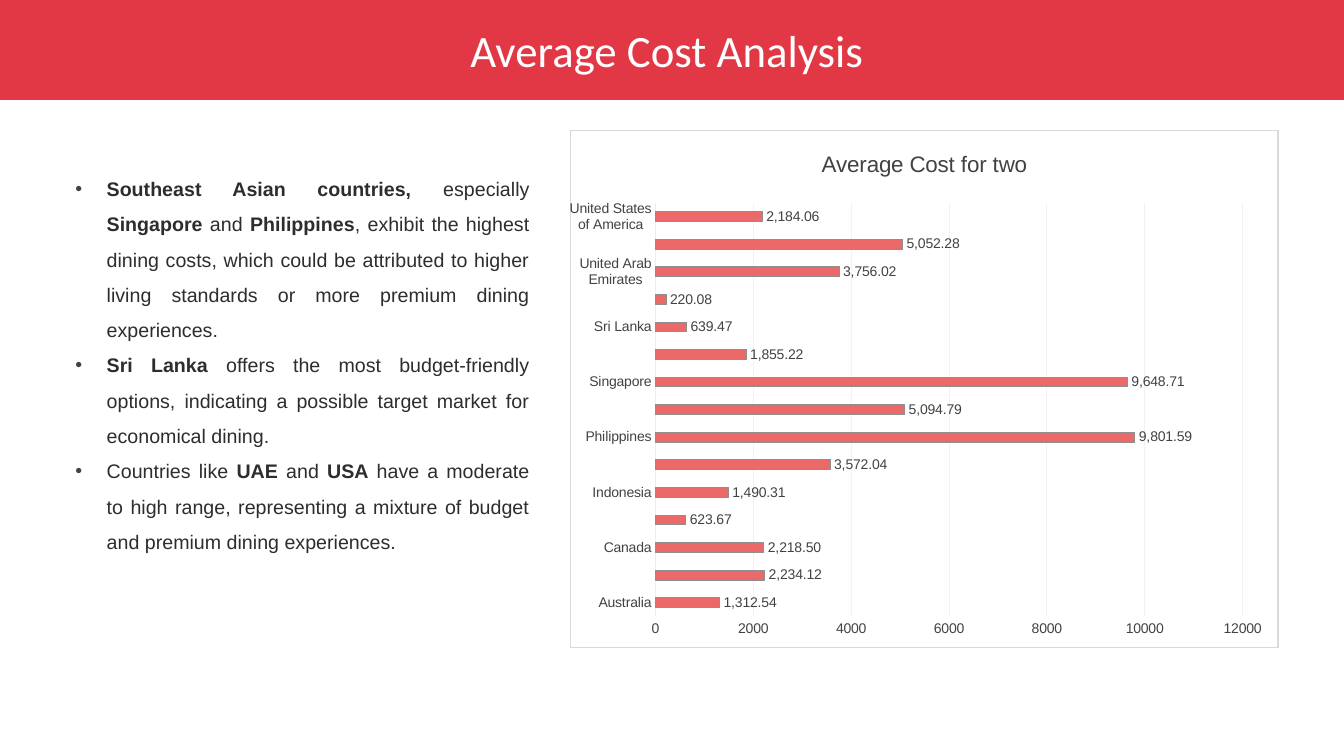
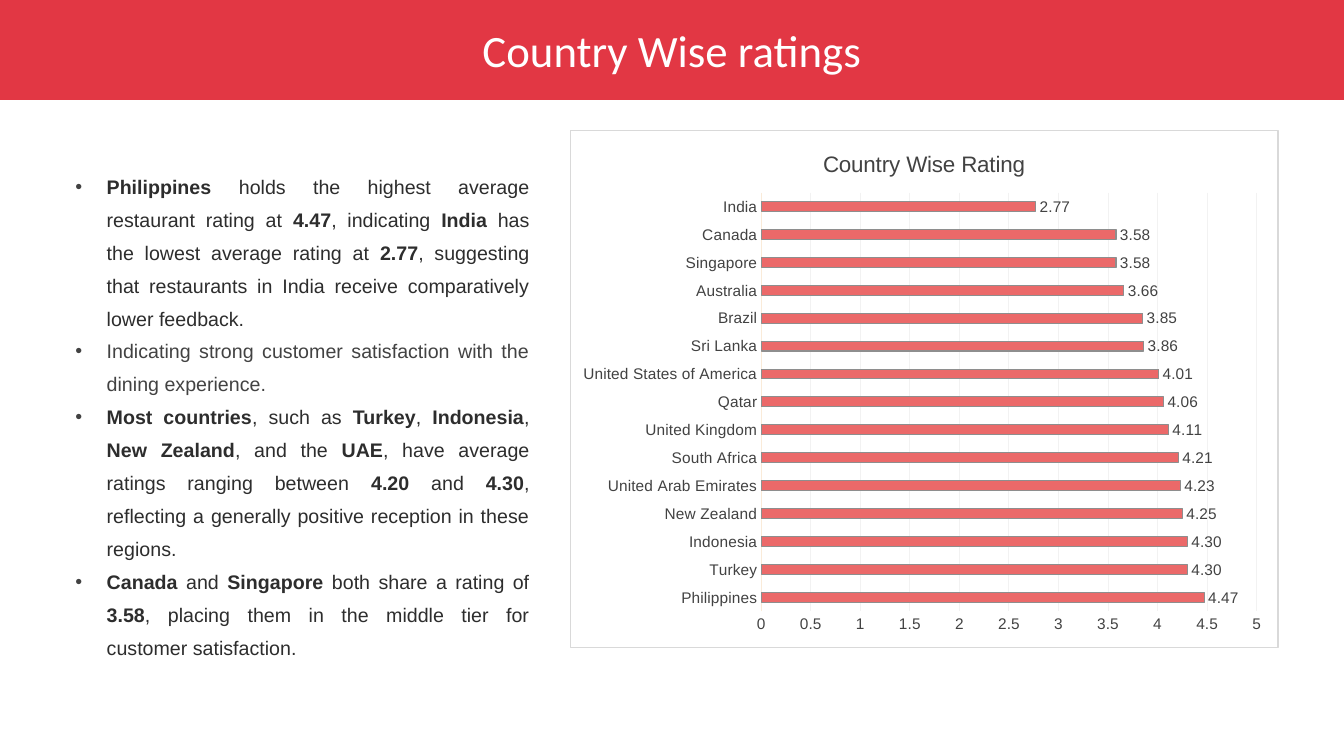
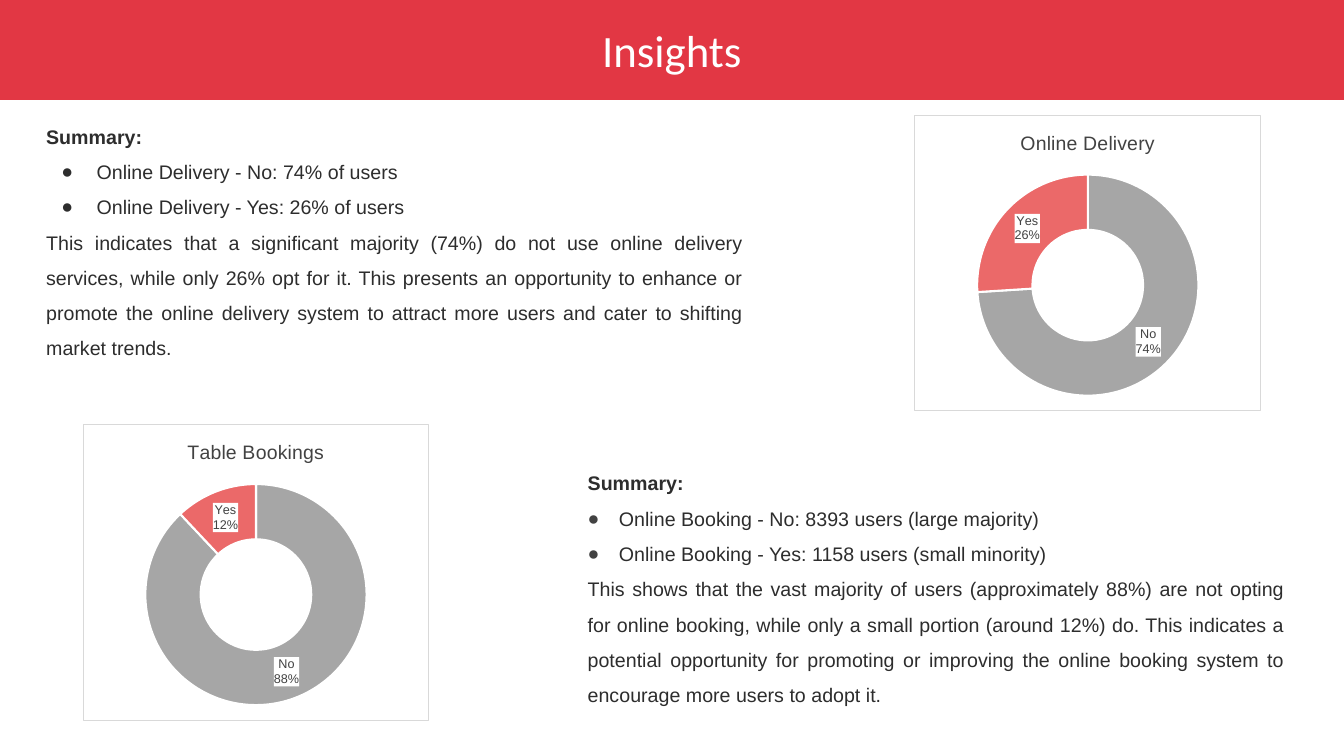
"""Builds three slides of restaurant cost, rating and service insights."""
from pptx import Presentation
from pptx.chart.data import CategoryChartData
from pptx.dml.color import RGBColor
from pptx.enum.chart import XL_CHART_TYPE, XL_LABEL_POSITION, XL_TICK_MARK
from pptx.enum.shapes import MSO_SHAPE
from pptx.enum.text import MSO_ANCHOR, PP_ALIGN
from pptx.oxml import parse_xml
from pptx.oxml.ns import nsdecls, qn
from pptx.util import Inches, Pt

BAR, DOUGHNUT = XL_CHART_TYPE.BAR_CLUSTERED, XL_CHART_TYPE.DOUGHNUT
OUTSIDE = XL_LABEL_POSITION.OUTSIDE_END
NO_TICK = XL_TICK_MARK.NONE
RECT = MSO_SHAPE.RECTANGLE
MIDDLE = MSO_ANCHOR.MIDDLE
CENTER, JUSTIFY = PP_ALIGN.CENTER, PP_ALIGN.JUSTIFY

RED, ROSE, GRAY, WHITE = "E23744", "EB6969", "A6A6A6", "FFFFFF"
INK, SOFT = "2D2D2D", "424242"
OUTLINE, GRID, AXIS, EDGE = "D9D9D9", "F2F2F2", "FAEBD9", "8E8E8E"

BODY = (4.88, 21.2, 35.26, 68.53)
BAR_AREA = (42.39, 17.2, 52.74, 68.53)
NOTE_SIZE = (53.34, 38)
DONUT_SIZE = (25.8, 39.2)
DONUT_PLOT = (0.18, 0.2, 0.64, 0.75)


def rgb(value):
    """Return the colour of a hex string."""
    return RGBColor.from_string(value)


def style(font, size=14, color=INK, bold=False, name="Arial"):
    """Apply one text format to a font."""
    font.size, font.bold, font.name = Pt(size), bold, name
    font.color.rgb = rgb(color)


def add_text(p, text, **fmt):
    """Add text to a paragraph, with **marked** parts in bold."""
    for i, part in enumerate(text.split("**")):
        if part:
            r = p.add_run()
            r.text = part
            style(r.font, **{"bold": i % 2 == 1, **fmt})


def set_bullet(p, char, color, left, hang):
    """Give a paragraph a coloured bullet with a hanging indent."""
    pPr = p._p.get_or_add_pPr()
    pPr.set("marL", str(Inches(left)))
    pPr.set("indent", str(-Inches(hang)))
    ns = nsdecls("a")
    for xml in (f'<a:buClr {ns}><a:srgbClr val="{color}"/></a:buClr>',
                f'<a:buFont {ns} typeface="Arial"/>',
                f'<a:buChar {ns} char="{char}"/>'):
        pPr.append(parse_xml(xml))


class Deck:
    """Holds the shared style and the current slide."""

    def __init__(self):
        """Start a widescreen presentation."""
        self.prs = Presentation()
        self.prs.slide_width, self.prs.slide_height = Inches(13.33), Inches(7.5)
        self.s = None

    def box(self, left, top, width, height):
        """Turn percentages of the slide into lengths."""
        w, h = self.prs.slide_width / 100, self.prs.slide_height / 100
        return int(left * w), int(top * h), int(width * w), int(height * h)

    def slide(self, title):
        """Add a blank slide with the title band."""
        self.s = self.prs.slides.add_slide(self.prs.slide_layouts[6])
        sp = self.s.shapes.add_shape(RECT, *self.box(0, 0, 100, 13.2))
        sp.shadow.inherit = False
        sp.fill.solid()
        sp.fill.fore_color.rgb = rgb(RED)
        sp.line.fill.background()
        tf = sp.text_frame
        tf.vertical_anchor = MIDDLE
        p = tf.paragraphs[0]
        p.alignment = CENTER
        add_text(p, title, size=32, color=WHITE, name="Calibri")

    def text(self, at, lines, spacing=1.5, bullet=(SOFT, 0.31, 0.31), soft=()):
        """Add justified paragraphs, bulleted where they start with a bullet."""
        tf = self.s.shapes.add_textbox(*self.box(*at)).text_frame
        tf.word_wrap = True
        for i, line in enumerate(lines):
            p = tf.add_paragraph() if i else tf.paragraphs[0]
            p.alignment, p.line_spacing = JUSTIFY, spacing
            if line[0] in "•●":
                set_bullet(p, line[0], *bullet)
                line = line[2:]
            add_text(p, line, color=SOFT if i in soft else INK)

    def chart(self, kind, at, title, points, plot_at, title_size):
        """Add a framed one-series chart with a title and a placed plot."""
        data = CategoryChartData()
        data.categories = [name for name, _ in points]
        data.add_series("Series 1", [value for _, value in points])
        chart = self.s.shapes.add_chart(kind, *self.box(*at), data).chart
        style(chart.font, size=10, color=SOFT)
        chart.has_legend = False
        chart.has_title = True
        add_text(chart.chart_title.text_frame.paragraphs[0], title,
                 size=title_size, color=SOFT)
        chart.element.find(qn("c:chart")).addnext(parse_xml(
            f'<c:spPr {nsdecls("c", "a")}><a:solidFill><a:srgbClr val="{WHITE}"/>'
            f'</a:solidFill><a:ln w="{Pt(0.75)}"><a:solidFill>'
            f'<a:srgbClr val="{OUTLINE}"/></a:solidFill></a:ln></c:spPr>'))
        area = chart.element.find(".//" + qn("c:plotArea"))
        for layout in area.findall(qn("c:layout")):
            area.remove(layout)
        sides = "".join(f'<c:{tag} val="{value}"/>'
                        for tag, value in zip("xywh", plot_at))
        area.insert(0, parse_xml(
            f'<c:layout {nsdecls("c")}><c:manualLayout><c:layoutTarget val="inner"/>'
            f'<c:xMode val="edge"/><c:yMode val="edge"/>{sides}'
            '</c:manualLayout></c:layout>'))
        return chart

    def bars(self, title, points, plot_at, size, top, step):
        """Add a horizontal bar chart with value labels."""
        chart = self.chart(BAR, BAR_AREA, title, points, plot_at, 16)
        plot = chart.plots[0]
        plot.gap_width, plot.vary_by_categories = 182, False
        series = plot.series[0]
        series.invert_if_negative = False
        series.format.fill.solid()
        series.format.fill.fore_color.rgb = rgb(ROSE)
        labels = series.data_labels
        labels.show_value, labels.position = True, OUTSIDE
        labels.number_format, labels.number_format_is_linked = "#,##0.00", False
        style(labels.font, size=size, color=SOFT)
        values, names = chart.value_axis, chart.category_axis
        for axis in (values, names):
            axis.major_tick_mark = axis.minor_tick_mark = NO_TICK
            style(axis.tick_labels.font, size=size, color=SOFT)
        values.minimum_scale, values.maximum_scale = 0, top
        values.major_unit = step
        values.has_major_gridlines = True
        values.format.line.fill.background()
        for target, color in ((series, EDGE), (names, AXIS),
                              (values.major_gridlines, GRID)):
            target.format.line.color.rgb = rgb(color)
            target.format.line.width = Pt(0.75)

    def donut(self, left, top, title, no, yes):
        """Add a doughnut of No and Yes shares with white labels."""
        chart = self.chart(DOUGHNUT, (left, top, *DONUT_SIZE), title,
                           [("No", no), ("Yes", yes)], DONUT_PLOT, 14)
        plot = chart.plots[0]
        plot.vary_by_categories = True
        chart.element.find(".//" + qn("c:holeSize")).set("val", "75")
        series = plot.series[0]
        for i, color in enumerate((GRAY, ROSE)):
            fmt = series.points[i].format
            fmt.fill.solid()
            fmt.fill.fore_color.rgb = rgb(color)
            fmt.line.color.rgb = rgb(WHITE)
            fmt.line.width = Pt(1.5)
        labels = series.data_labels
        labels.show_value = False
        labels.show_category_name = labels.show_percentage = True
        labels.number_format, labels.number_format_is_linked = "0%", False
        style(labels.font, size=9, color=SOFT)
        dLbls = series._element.find(qn("c:dLbls"))
        dLbls.find(qn("c:txPr")).addprevious(parse_xml(
            f'<c:spPr {nsdecls("c", "a")}><a:solidFill>'
            f'<a:srgbClr val="{WHITE}"/></a:solidFill></c:spPr>'))
        dLbls.find(qn("c:showBubbleSize")).addnext(parse_xml(
            f'<c:separator {nsdecls("c")}>\n</c:separator>'))


COSTS = [
    ("Australia", 1312.54), ("Brazil", 2234.12), ("Canada", 2218.5),
    ("India", 623.67), ("Indonesia", 1490.31), ("New Zealand", 3572.04),
    ("Philippines", 9801.59), ("Qatar", 5094.79), ("Singapore", 9648.71),
    ("South Africa", 1855.22), ("Sri Lanka", 639.47), ("Turkey", 220.08),
    ("United Arab Emirates", 3756.02), ("United Kingdom", 5052.28),
    ("United States of America", 2184.06),
]
RATINGS = [
    ("Philippines", 4.47), ("Turkey", 4.3), ("Indonesia", 4.3),
    ("New Zealand", 4.25), ("United Arab Emirates", 4.23),
    ("South Africa", 4.21), ("United Kingdom", 4.11), ("Qatar", 4.06),
    ("United States of America", 4.01), ("Sri Lanka", 3.86), ("Brazil", 3.85),
    ("Australia", 3.66), ("Singapore", 3.58), ("Canada", 3.58), ("India", 2.77),
]


def main():
    """Build and save the slides."""
    deck = Deck()

    deck.slide("Average Cost Analysis ")
    deck.text(BODY, [
        "• **Southeast Asian countries, **especially **Singapore** and "
        "**Philippines**, exhibit the highest dining costs, which could be "
        "attributed to higher living standards or more premium dining experiences.",
        "• **Sri Lanka **offers the most budget-friendly options, indicating a "
        "possible target market for economical dining.",
        "• Countries like **UAE** and **USA** have a moderate to high range, "
        "representing a mixture of budget and premium dining experiences.",
    ])
    deck.bars("Average Cost for two", COSTS, (0.12, 0.14, 0.83, 0.8),
              10, 12000, 2000)

    deck.slide("Country Wise ratings")
    deck.text(BODY, [
        "• **Philippines **holds the highest average restaurant rating at "
        "**4.47**, indicating **India** has the lowest average rating at "
        "**2.77**, suggesting that restaurants in India receive comparatively "
        "lower feedback.",
        "• Indicating strong customer satisfaction with the dining experience.",
        "• **Most countries**, such as **Turkey**, **Indonesia**, "
        "**New Zealand**, and the **UAE**, have average ratings ranging between "
        "**4.20** and **4.30**, reflecting a generally positive reception in "
        "these regions.",
        "• **Canada** and **Singapore** both share a rating of **3.58**, placing "
        "them in the middle tier for customer satisfaction.",
    ], spacing=1.4, soft=(1,))
    deck.bars("Country Wise Rating", RATINGS, (0.27, 0.12, 0.7, 0.81), 11, 5, 0.5)

    deck.slide("Insights")
    deck.text((2.7, 14.27, *NOTE_SIZE), [
        "**Summary:**",
        "● Online Delivery - No: 74% of users",
        "● Online Delivery - Yes: 26% of users",
        "This indicates that a significant majority (74%) do not use online "
        "delivery services, while only 26% opt for it. This presents an "
        "opportunity to enhance or promote the online delivery system to attract "
        "more users and cater to shifting market trends.",
    ], bullet=(INK, 0.5, 0.35))
    deck.donut(68.04, 15.2, "Online Delivery", 74, 26)
    deck.donut(6.15, 56.13, "Table Bookings", 88, 12)
    deck.text((42.99, 60.13, *NOTE_SIZE), [
        "**Summary:**",
        "● Online Booking - No: 8393 users (large majority)",
        "● Online Booking - Yes: 1158 users (small minority)",
        "This shows that the vast majority of users (approximately 88%) are not "
        "opting for online booking, while only a small portion (around 12%) do. "
        "This indicates a potential opportunity for promoting or improving the "
        "online booking system to encourage more users to adopt it.",
    ])

    deck.prs.save("out.pptx")


if __name__ == "__main__":
    main()
